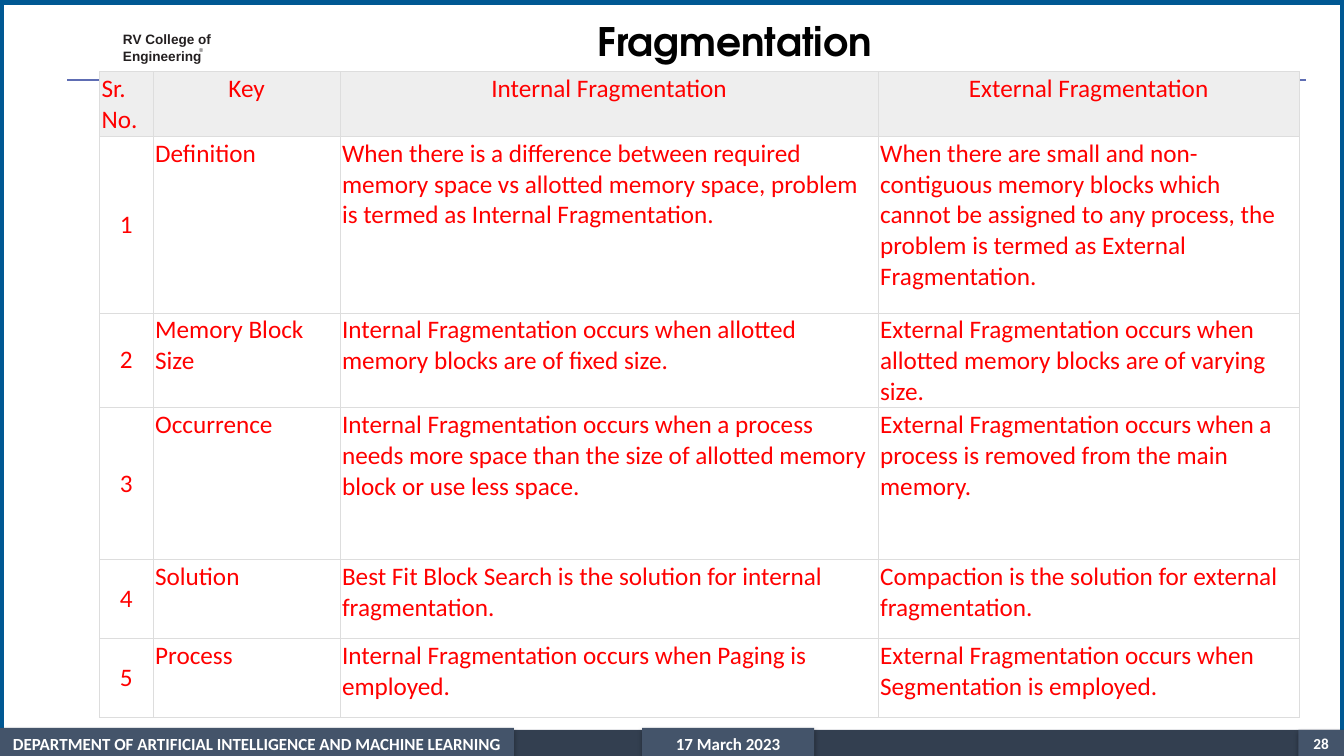
from dataclasses import dataclass
from lxml import etree
from pptx import Presentation
from pptx import util as u
from pptx.dml import color
from pptx.enum import shapes, text
from pptx.oxml import ns

Cm, Pt = u.Cm, u.Pt
MID, TOP = text.MSO_ANCHOR.MIDDLE, text.MSO_ANCHOR.TOP
LEFT, MITTE = text.PP_ALIGN.LEFT, text.PP_ALIGN.CENTER


@dataclass(frozen=True)
class Theme:
    white: str = "FFFFFF"
    black: str = "000000"
    frame: str = "005893"
    rule: str = "5E6DB3"
    ink: str = "231F20"
    bar: str = "333F50"
    tab: str = "44546A"
    red: str = "FF0000"
    head: str = "EEEEEE"
    grid: str = "DDDDDD"
    body: str = "Calibri"
    title: str = "TeX Gyre Adventor"
    brand: str = "Arial"
    big: float = 28
    cell: float = 18
    foot: float = 12.1
    page: float = 10.9
    name: float = 9.7
    mark: float = 4


T = Theme()
COLS = (1.35, 4.71, 13.56, 10.61)
ROWS = (1.07, 4.45, 2.29, 3.83, 1.99, 1.99)
HEAD = ("Sr. No.", "Key", "Internal Fragmentation", "External Fragmentation")
FACTS = (
    ("Definition",
     "When there is a difference between required memory space vs allotted memory space, problem is termed as Internal Fragmentation.",
     "When there are small and non-contiguous memory blocks which cannot be assigned to any process, the problem is termed as External Fragmentation."),
    ("Memory Block Size",
     "Internal Fragmentation occurs when allotted memory blocks are of fixed size.",
     "External Fragmentation occurs when allotted memory blocks are of varying size."),
    ("Occurrence",
     "Internal Fragmentation occurs when a process needs more space than the size of allotted memory block or use less space.",
     "External Fragmentation occurs when a process is removed from the main memory."),
    ("Solution",
     "Best Fit Block Search is the solution for internal fragmentation.",
     "Compaction is the solution for external fragmentation."),
    ("Process",
     "Internal Fragmentation occurs when Paging is employed.",
     "External Fragmentation occurs when Segmentation is employed."),
)


def apply(item, form):
    for key, val in form.items():
        setattr(item, key, val)


def rgb(code):
    return color.RGBColor.from_string(code)


def paint(fill, code):
    fill.solid()
    fill.fore_color.rgb = rgb(code)


def write(frame, lines, size, ink, font=T.body, bold=False, **form):
    for i, line in enumerate(lines):
        para = frame.paragraphs[0] if i == 0 else frame.add_paragraph()
        apply(para, form)
        run = para.add_run()
        run.text = line
        apply(run.font, {"name": font, "size": Pt(size), "bold": bold})
        run.font.color.rgb = rgb(ink)


def label(slide, box, lines, size, ink, anchor=TOP, **form):
    frame = slide.shapes.add_textbox(*map(Cm, box)).text_frame
    apply(frame, {"word_wrap": True, "vertical_anchor": anchor,
                  "margin_left": 0, "margin_right": 0,
                  "margin_top": 0, "margin_bottom": 0})
    write(frame, lines, size, ink, **form)


def block(slide, box, fill):
    shape = slide.shapes.add_shape(shapes.MSO_SHAPE.RECTANGLE, *map(Cm, box))
    shape.shadow.inherit = False
    paint(shape.fill, fill)
    shape.line.fill.background()
    return shape


def shade(shape):
    effect = shape._element.spPr.find(ns.qn("a:effectLst"))
    outer = etree.SubElement(effect, ns.qn("a:outerShdw"), blurRad=str(Pt(3.5)),
                             dist=str(Pt(2.2)), dir="5400000", rotWithShape="0")
    tint = etree.SubElement(outer, ns.qn("a:srgbClr"), val=T.black)
    etree.SubElement(tint, ns.qn("a:alpha"), val="32000")


def frame(slide, box):
    back = block(slide, box, T.white)
    back.line.color.rgb = rgb(T.frame)
    back.line.width = Pt(6)


def header(slide, box):
    x, y, w, h = box
    rule = slide.shapes.add_connector(shapes.MSO_CONNECTOR.STRAIGHT,
                                      Cm(x), Cm(y + h), Cm(x + w), Cm(y + h))
    etree.SubElement(rule._element.spPr, ns.qn("a:effectLst"))
    rule.line.color.rgb = rgb(T.rule)
    rule.line.width = Pt(1.25)
    label(slide, (x + 1.4, y + 0.35, 2.6, 0.84), ("RV College of", "Engineering"),
          T.name, T.ink, font=T.brand, bold=True, line_spacing=Pt(12.2))
    label(slide, (x + 3.32, y + 0.77, 0.2, 0.2), ("®",), T.mark, T.ink, font=T.brand)
    label(slide, (x + 4.52, y, 24.59, 1.4), ("Fragmentation",), T.big, T.black,
          anchor=MID, font=T.title, bold=True, alignment=MITTE, line_spacing=0.9)


def footer(slide, box):
    x, y, w, h = box
    block(slide, box, T.bar)
    tabs = ((16.18, -0.05, 4.34, 0.79, "17 March 2023", T.foot),
            (0, -0.05, 12.95, 0.79,
             "DEPARTMENT OF ARTIFICIAL INTELLIGENCE AND MACHINE LEARNING", T.foot),
            (w - 1.15, 0, 1.15, h, "28", T.page))
    for dx, dy, wide, high, words, size in tabs:
        tab = block(slide, (x + dx, y + dy, wide, high), T.tab)
        shade(tab)
        apply(tab.text_frame, {"word_wrap": False, "vertical_anchor": MID,
                               "margin_top": 0, "margin_bottom": 0})
        write(tab.text_frame, (words,), size, T.white, bold=True, alignment=MITTE)


def edge(cell):
    props = cell._tc.get_or_add_tcPr()
    for i, side in enumerate(("lnL", "lnR", "lnT", "lnB")):
        line = etree.Element(ns.qn("a:" + side), w=str(Pt(0.6)))
        fill = etree.SubElement(line, ns.qn("a:solidFill"))
        etree.SubElement(fill, ns.qn("a:srgbClr"), val=T.grid)
        props.insert(i, line)


def table(slide, box):
    grid = slide.shapes.add_table(len(ROWS), len(COLS), *map(Cm, box)).table
    apply(grid, {"first_row": False, "horz_banding": False})
    for col, wide in zip(grid.columns, COLS):
        col.width = Cm(wide)
    for row, high in zip(grid.rows, ROWS):
        row.height = Cm(high)
    data = [HEAD] + [(str(n), *fact) for n, fact in enumerate(FACTS, 1)]
    pad = Cm(0.05)
    for r, line in enumerate(data):
        for c, words in enumerate(line):
            cell = grid.cell(r, c)
            index = r > 0 and c == 0
            apply(cell, {"margin_left": pad, "margin_right": pad,
                         "margin_top": pad, "margin_bottom": pad,
                         "vertical_anchor": MID if index else TOP})
            paint(cell.fill, T.white if r else T.head)
            edge(cell)
            write(cell.text_frame, (words,), T.cell, T.red,
                  alignment=MITTE if (r == 0) != (c == 0) else LEFT)


def main():
    deck = Presentation()
    apply(deck, {"slide_width": Cm(33.87), "slide_height": Cm(19.05)})
    slide = deck.slides.add_slide(deck.slide_layouts[6])
    frame(slide, (0, 0.03, 33.87, 19.05))
    header(slide, (1.7, 0.41, 31.22, 1.6))
    footer(slide, (0, 18.39, 33.87, 0.71))
    table(slide, (2.51, 1.81, sum(COLS), sum(ROWS)))
    deck.save("out.pptx")


if __name__ == "__main__":
    main()
